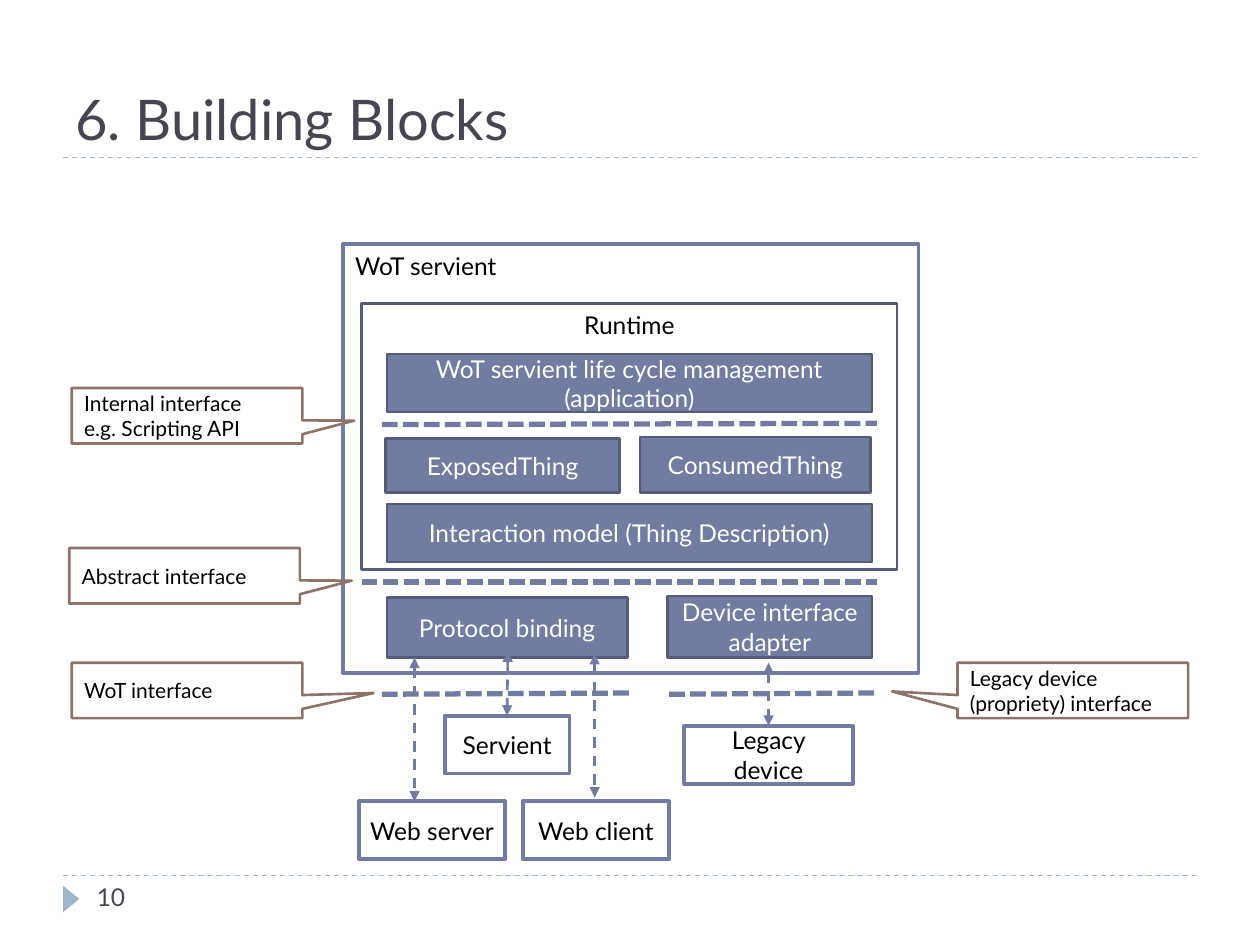
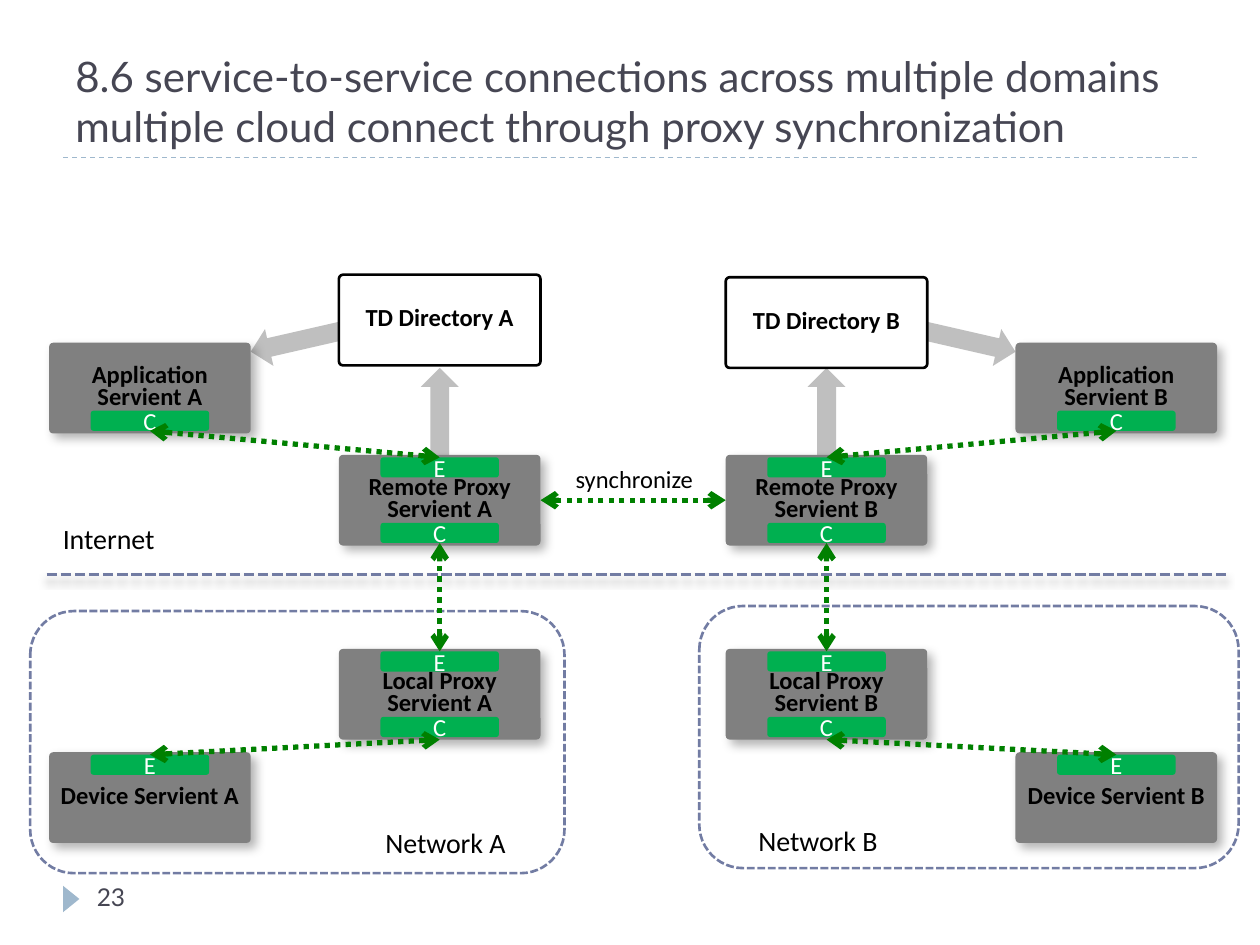
from lxml import etree
from pptx import Presentation
from pptx.dml.color import RGBColor
from pptx.enum.dml import MSO_LINE
from pptx.enum.shapes import MSO_CONNECTOR, MSO_SHAPE
from pptx.enum.text import MSO_ANCHOR, PP_ALIGN
from pptx.oxml.ns import qn
from pptx.util import Inches, Pt

# Enum members
RECT, ROUND = MSO_SHAPE.RECTANGLE, MSO_SHAPE.ROUNDED_RECTANGLE
CALLOUT, ARROW = MSO_SHAPE.RECTANGULAR_CALLOUT, MSO_SHAPE.DOWN_ARROW
TRIANGLE, STRAIGHT = MSO_SHAPE.ISOSCELES_TRIANGLE, MSO_CONNECTOR.STRAIGHT
DASH, SHORT, DOT = MSO_LINE.DASH, MSO_LINE.SQUARE_DOT, MSO_LINE.ROUND_DOT
TOP, MIDDLE, BOTTOM = MSO_ANCHOR.TOP, MSO_ANCHOR.MIDDLE, MSO_ANCHOR.BOTTOM
LEFT, CENTER = PP_ALIGN.LEFT, PP_ALIGN.CENTER

# Palette and fonts
WHITE = RGBColor(0xFF, 0xFF, 0xFF)
BLACK = RGBColor(0x00, 0x00, 0x00)
INK = RGBColor(0x46, 0x46, 0x53)
PALE = RGBColor(0x9F, 0xB8, 0xCD)
BLUE = RGBColor(0x72, 0x7C, 0xA3)
NAVY = RGBColor(0x54, 0x5C, 0x79)
BROWN = RGBColor(0x8E, 0x73, 0x6A)
GRAY = RGBColor(0x80, 0x80, 0x80)
SILVER = RGBColor(0xBF, 0xBF, 0xBF)
GREEN = RGBColor(0x00, 0xB0, 0x50)
FOREST = RGBColor(0x00, 0x80, 0x00)
LATO, CALIBRI = "Lato", "Calibri"

# Grid of 100 columns by 75 rows; servient boxes are COLS x ROWS cells
COLS, ROWS = 16, 7.2
MIRROR = 100.5
NODE_SHADE = (30, 6, 4, 45)
LINE_SHADE = (40, 4, 3.4, 90)


def grid(*cells):
    return [Inches(cell / 10) for cell in cells]


def shade(effects, alpha, blur, dist, angle):
    """Fill an effect list with a black outer shadow."""
    outer = etree.SubElement(effects, qn("a:outerShdw"), blurRad=str(Pt(blur)),
                             dist=str(Pt(dist)), dir=str(angle * 60000),
                             algn="ctr", rotWithShape="0")
    color = etree.SubElement(outer, qn("a:srgbClr"), val="000000")
    etree.SubElement(color, qn("a:alpha"), val=str(alpha * 1000))


def write(shape, text, size, color, font=LATO, bold=False, align=CENTER,
          anchor=MIDDLE, wrap=True, inset=None, space=None):
    """Each item of text is a paragraph; a newline in it is a line break."""
    frame = shape.text_frame
    frame.word_wrap = wrap
    frame.vertical_anchor = anchor
    if inset is not None:
        frame.margin_left = frame.margin_right = Inches(inset[0])
        frame.margin_top = frame.margin_bottom = Inches(inset[1])
    for num, item in enumerate(text):
        para = frame.add_paragraph() if num else frame.paragraphs[0]
        para.alignment = align
        if space:
            para.line_spacing = space
        for part, words in enumerate(item.split("\n")):
            if part:
                para.add_line_break()
            run = para.add_run()
            run.text = words
            run.font.name, run.font.size = font, Pt(size)
            run.font.bold = bold
            run.font.color.rgb = color


def draw(slide, kind, area, fill=None, line=None, width=1.5, adj=(), turn=0):
    shape = slide.shapes.add_shape(kind, *grid(*area))
    shape.shadow.inherit = False
    shape.rotation = turn
    for num, value in enumerate(adj):
        shape.adjustments[num] = value
    if fill is None:
        shape.fill.background()
    else:
        shape.fill.solid()
        shape.fill.fore_color.rgb = fill
    if line is None:
        shape.line.fill.background()
    else:
        shape.line.color.rgb = line
        shape.line.width = Pt(width)
    return shape


def rule(slide, start, end, color, width, dash, head=None, shadow=None):
    line = slide.shapes.add_connector(STRAIGHT, *grid(*start, *end))
    line.line.color.rgb = color
    line.line.width = Pt(width)
    line.line.dash_style = dash
    props = line._element.spPr
    if head:
        for tag in ("a:headEnd", "a:tailEnd"):
            etree.SubElement(props.find(qn("a:ln")), qn(tag), type=head)
    effects = etree.SubElement(props, qn("a:effectLst"))
    if shadow:
        shade(effects, *shadow)
    return line


def label(slide, area, text, size, color=BLACK, **style):
    box = slide.shapes.add_textbox(*grid(*area))
    style = {"align": LEFT, "anchor": TOP, **style}
    write(box, [text], size, color, **style)


# Parts shared by both slides
def start(deck, title, size, number):
    slide = deck.slides.add_slide(deck.slide_layouts[6])
    rule(slide, (5, 12.5), (95, 12.5), PALE, 0.75, DASH)
    draw(slide, TRIANGLE, (4.6, 70.7, 2.1, 1.3), PALE, turn=90)
    label(slide, (5, 2.5, 90, 10), title, size, INK, anchor=BOTTOM)
    label(slide, (6.7, 69.5, 21.7, 4), number, 14, INK)
    return slide


# Building blocks
def block(slide, area, text):
    write(draw(slide, RECT, area, BLUE, NAVY), [text], 14, WHITE)


def frame(slide, area, text, line, width, align):
    box = draw(slide, RECT, area, None, line, width)
    write(box, [text], 14, BLACK, align=align, anchor=TOP)


def peer(slide, area, text, inset=None):
    box = draw(slide, RECT, area, WHITE, BLUE, 2.25)
    write(box, [text], 14, BLACK, inset=inset)
    return box


def callout(slide, x, y, tip, *text):
    box = draw(slide, CALLOUT, (x, y, 18.3, 4.4), WHITE, BROWN, adj=tip)
    write(box, text, 12, BLACK, align=LEFT)


def blocks(deck):
    slide = start(deck, "6. Building Blocks", 32, "10")
    rule(slide, (5, 69.5), (95, 69.5), PALE, 0.75, DASH)

    frame(slide, (27.2, 19.4, 45.7, 34), "WoT servient", BLUE, 2.25, LEFT)
    frame(slide, (28.7, 24.1, 42.5, 21.1), "Runtime", NAVY, 1.5, CENTER)
    for area, text in (
        ((30.7, 28.1, 38.5, 4.6), "WoT servient life cycle management (application)"),
        ((30.6, 34.8, 18.6, 4.3), "ExposedThing"),
        ((50.8, 34.7, 18.3, 4.4), "ConsumedThing"),
        ((30.7, 40, 38.5, 4.6), "Interaction model (Thing Description)"),
        ((30.7, 47.4, 19.1, 4.8), "Protocol binding"),
        ((53, 47.3, 16.2, 4.9), "Device interface adapter"),
    ):
        block(slide, area, text)

    # Peers outside the servient
    hub = peer(slide, (35.3, 56.8, 9.9, 4.6), "Servient")
    peer(slide, (28.5, 63.6, 11.6, 4.6), "Web server", (0.04, 0.05))
    peer(slide, (41.5, 63.6, 11.6, 4.6), "Web client")
    old = peer(slide, (54.3, 57.6, 13.4, 4.6), "Legacy device")
    for x, top, low, goal in ((32.9, 52.2, 63.6, None), (47.2, 51.9, 63.3, None),
                              (40.3, 51.7, 56.8, hub), (61, 52.6, 57.6, old)):
        link = rule(slide, (x, top), (x, low), BLUE, 1.5, DASH, "triangle")
        if goal:
            link.end_connect(goal, 0)

    # Interface borders and their callouts
    for left, right, y, rise in ((30.3, 69.6, 33.7, 0.1), (28.7, 69.6, 46.2, 0),
                                 (30.3, 50.3, 55.1, 0.1), (53.1, 69.7, 55.1, 0.1)):
        rule(slide, (left, y), (right, y - rise), BLUE, 3, SHORT)
    callout(slide, 5.7, 30.8, (0.725, 0.088),
            "Internal interface", "e.g. Scripting API")
    callout(slide, 5.5, 43.5, (0.725, 0.088), "Abstract interface")
    callout(slide, 5.7, 52.6, (0.809, 0.047), "WoT interface")
    callout(slide, 76, 52.6, (-0.784, 0.018), "Legacy device (propriety) interface")


# Proxy synchronization
def node(slide, x, y, *text, fill=GRAY, line=None):
    box = draw(slide, ROUND, (x, y, COLS, ROWS), fill, line, adj=(0.045,))
    if line is None:
        shade(box._element.spPr.find(qn("a:effectLst")), *NODE_SHADE)
    write(box, text, 14, BLACK, CALIBRI, True, wrap=False, inset=(0, 0), space=0.75)
    return box


def tag(slide, x, y, letter):
    """Green role mark near the top (E) or bottom (C) of the node at x, y."""
    drop = 0.2 if letter == "E" else 5.4
    mark = draw(slide, ROUND, (x + 3.3, y + drop, 9.4, 1.6), GREEN, adj=(0.15,))
    write(mark, [letter], 14, WHITE, CALIBRI, wrap=False)
    return mark


def join(slide, first, side, second, other):
    line = rule(slide, (0, 0), (1, 1), FOREST, 3, DOT, "arrow")
    line.begin_connect(first, side)
    line.end_connect(second, other)


def domain(slide, name, roof):
    """One half of the diagram; B mirrors A. Returns the remote proxy."""
    def flip(x, width=COLS):
        return x if name == "A" else MIRROR - x - width

    sign = 1 if name == "A" else -1
    edge, core = flip(3.9), flip(26.9)
    who = f"Servient {name}"

    for x, y, tall, turn in ((22.4, 22.9, 8.2, 77.1), (33.4, 29.2, 7.9, 180)):
        draw(slide, ARROW, (flip(x, 3), y, 3, tall), SILVER, turn=sign * turn % 360)
    node(slide, edge, 27.2, "Application", who)
    app = tag(slide, edge, 27.2, "C")
    node(slide, edge, 59.7, f"Device {who}")
    device = tag(slide, edge, 59.7, "E")
    local = node(slide, core, 51.5, "Local Proxy", who)
    tag(slide, core, 51.5, "C")
    inner = tag(slide, core, 51.5, "E")
    remote = node(slide, core, 36.1, "Remote Proxy", who)
    client = tag(slide, core, 36.1, "C")
    server = tag(slide, core, 36.1, "E")

    join(slide, inner, 0, client, 2)
    join(slide, device, 0, local, 2)
    join(slide, app, 2, server, 0)
    node(slide, core, roof, f"TD Directory {name}", fill=WHITE, line=BLACK)
    return remote


def proxies(deck):
    slide = start(deck, "8.6 service-to-service connections across multiple domains\n"
                  "multiple cloud connect through proxy synchronization", 24, "23")
    rule(slide, (3.7, 45.6), (97.3, 45.6), BLUE, 2, SHORT, shadow=LINE_SHADE)
    for area in ((2.4, 48.5, 42.4, 20.8), (55.5, 48.1, 42.8, 20.8)):
        draw(slide, ROUND, area, None, BLUE).line.dash_style = SHORT
    for area, text, size in (((4, 40.9, 9.4, 3.7), "Internet", 16),
                             ((29.6, 65, 11.7, 3.7), "Network A", 16),
                             ((59.2, 64.9, 11.7, 3.7), "Network B", 16),
                             ((44.7, 36.3, 11.4, 3.4), "synchronize", 14)):
        label(slide, area, text, size, font=CALIBRI, wrap=False)
    first = domain(slide, "A", 21.8)
    second = domain(slide, "B", 22)
    join(slide, second, 1, first, 3)


def main():
    deck = Presentation()
    deck.slide_width, deck.slide_height = grid(100, 75)
    blocks(deck)
    proxies(deck)
    deck.save("out.pptx")


if __name__ == "__main__":
    main()
